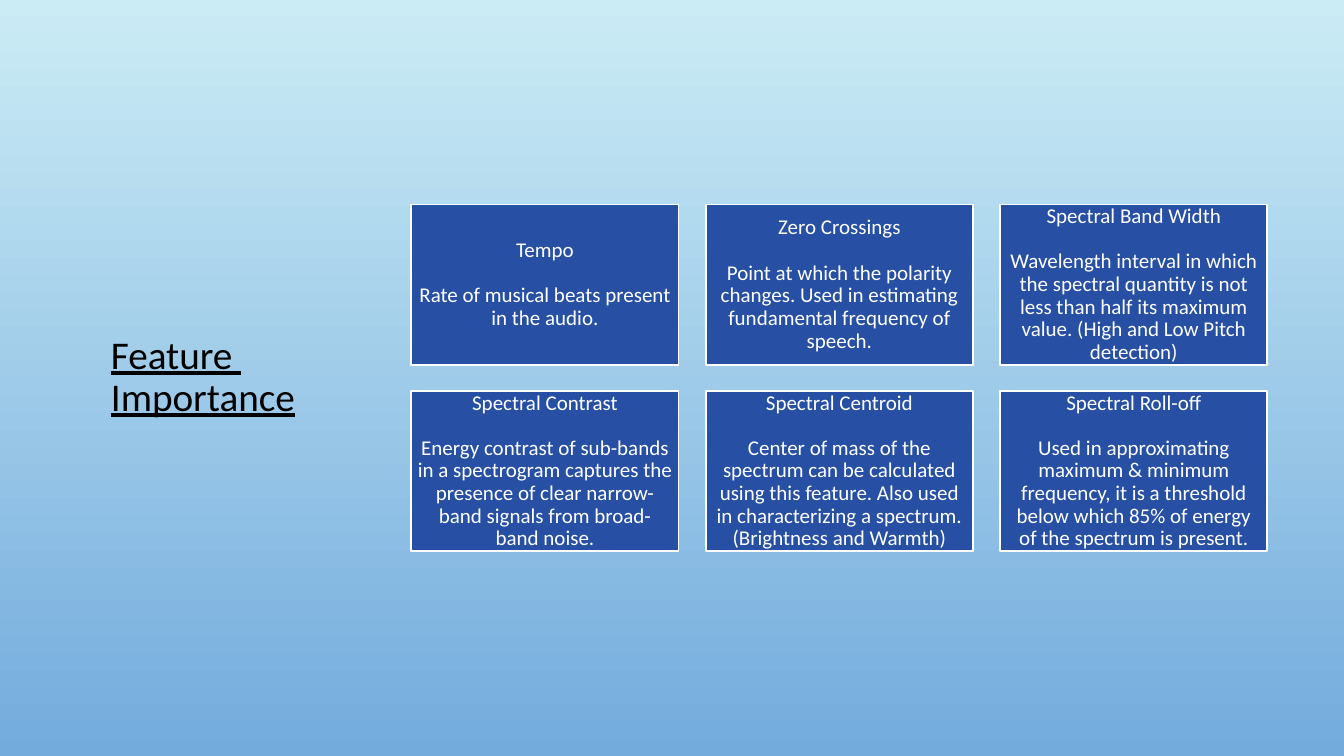
import pptx
import pptx.dml.color
import pptx.enum.shapes
import pptx.enum.text
import pptx.util

Inches = pptx.util.Inches
Pt = pptx.util.Pt
RGBColor = pptx.dml.color.RGBColor
ALIGN = pptx.enum.text.PP_ALIGN

SKY_TOP = RGBColor(0xCB, 0xEC, 0xF5)
SKY_BASE = RGBColor(0x73, 0xAB, 0xDD)
BLUE = RGBColor(0x27, 0x4F, 0xA4)
WHITE = RGBColor(0xFF, 0xFF, 0xFF)
BLACK = RGBColor(0, 0, 0)

TITLE_FONT = {"name": "Calibri", "size": Pt(28), "underline": True}
CARD_FONT = {"name": "Calibri", "size": Pt(15)}
CARD_FRAME = {
    "word_wrap": True,
    "vertical_anchor": pptx.enum.text.MSO_ANCHOR.MIDDLE,
    "margin_left": Inches(0.06),
    "margin_right": Inches(0.06),
    "margin_top": Inches(0.06),
    "margin_bottom": Inches(0.06),
}
TITLE_FRAME = {
    "word_wrap": True,
    "vertical_anchor": pptx.enum.text.MSO_ANCHOR.MIDDLE,
    "auto_size": pptx.enum.text.MSO_AUTO_SIZE.NONE,
}

COLS = 3
CARD_WIDTH, CARD_HEIGHT = 2.65, 1.59
CARDS = [
    ("Tempo", "Rate of musical beats present in the audio."),
    ("Zero Crossings",
     "Point at which the polarity changes. Used in estimating "
     "fundamental frequency of speech."),
    ("Spectral Band Width",
     "Wavelength interval in which the spectral quantity is not less than "
     "half its maximum value. (High and Low Pitch detection)"),
    ("Spectral Contrast",
     "Energy contrast of sub-bands in a spectrogram captures the presence "
     "of clear narrow-band signals from broad-band noise."),
    ("Spectral Centroid",
     "Center of mass of the spectrum can be calculated using this feature. "
     "Also used in characterizing a spectrum. (Brightness and Warmth)"),
    ("Spectral Roll-off",
     "Used in approximating maximum & minimum frequency, it is a threshold "
     "below which 85% of energy of the spectrum is present."),
]


def apply(target, values):
    """Set each named attribute of target."""
    for name, value in values.items():
        setattr(target, name, value)


def style(para, font, color, align):
    apply(para, {"alignment": align, "line_spacing": 0.9})
    apply(para.font, font)
    para.font.color.rgb = color


def paint_sky(slide):
    fill = slide.background.fill
    fill.gradient()
    fill.gradient_angle = 270
    for stop, color in zip(fill.gradient_stops, (SKY_TOP, SKY_BASE)):
        stop.color.rgb = color


def place_title(slide, left, top, width, height):
    title = slide.shapes.title
    apply(title, {"left": Inches(left), "top": Inches(top),
                  "width": Inches(width), "height": Inches(height)})
    frame = title.text_frame
    apply(frame, TITLE_FRAME)
    frame.text = "Feature \vImportance"
    style(frame.paragraphs[0], TITLE_FONT, BLACK, ALIGN.LEFT)


def add_card(slide, left, top, head, body):
    card = slide.shapes.add_shape(
        pptx.enum.shapes.MSO_SHAPE.RECTANGLE, Inches(left), Inches(top),
        Inches(CARD_WIDTH), Inches(CARD_HEIGHT))
    card.shadow.inherit = False
    card.fill.solid()
    card.fill.fore_color.rgb = BLUE
    card.line.color.rgb = WHITE
    card.line.width = Pt(1.25)
    frame = card.text_frame
    apply(frame, CARD_FRAME)
    frame.text = f"{head}\n{body}"
    for para in frame.paragraphs:
        style(para, CARD_FONT, WHITE, ALIGN.CENTER)
    frame.paragraphs[0].space_after = Pt(16)


def place_cards(slide, left, top, width, height):
    """Spread the cards over a grid that fills the box."""
    rows = len(CARDS) // COLS
    step_x = (width - CARD_WIDTH) / (COLS - 1)
    step_y = (height - CARD_HEIGHT) / (rows - 1)
    for i, (head, body) in enumerate(CARDS):
        row, col = divmod(i, COLS)
        add_card(slide, left + col * step_x, top + row * step_y, head, body)


def main():
    deck = pptx.Presentation()
    deck.slide_width = Inches(13.33)
    deck.slide_height = Inches(7.5)
    slide = deck.slides.add_slide(deck.slide_layouts.get_by_name("Title Only"))
    paint_sky(slide)
    place_title(slide, 1, 1.47, 3.44, 4.55)
    place_cards(slide, 4.08, 2.03, 8.49, 3.44)
    deck.save("out.pptx")


if __name__ == "__main__":
    main()
